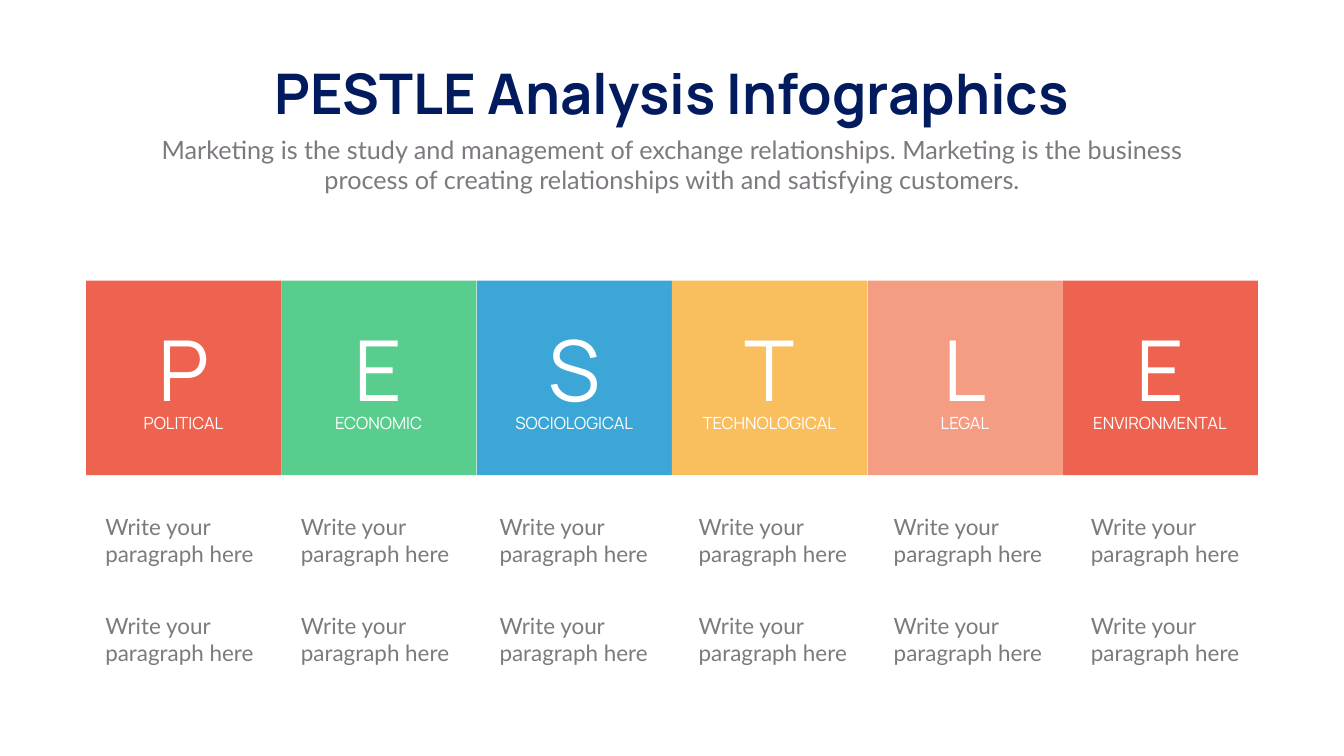
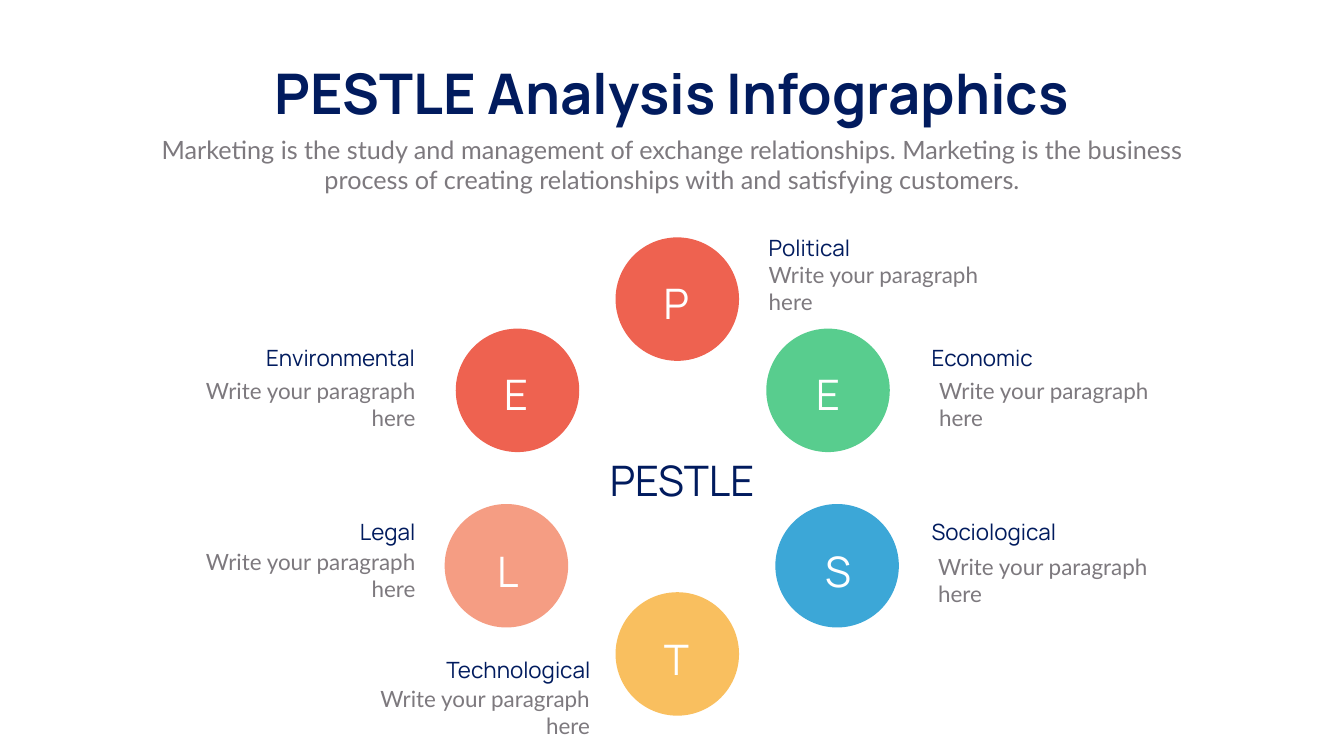
"""Build two PESTLE analysis infographic slides."""

from dataclasses import dataclass

from pptx import Presentation
from pptx.dml.color import RGBColor
from pptx.enum.shapes import MSO_SHAPE
from pptx.enum.text import MSO_ANCHOR, MSO_AUTO_SIZE, PP_ALIGN
from pptx.presentation import Presentation as Deck
from pptx.shapes.base import BaseShape
from pptx.slide import Slide
from pptx.util import Emu, Pt

RECTANGLE, OVAL = MSO_SHAPE.RECTANGLE, MSO_SHAPE.OVAL
LEFT, CENTER, RIGHT = PP_ALIGN.LEFT, PP_ALIGN.CENTER, PP_ALIGN.RIGHT
TOP, GROW = MSO_ANCHOR.TOP, MSO_AUTO_SIZE.SHAPE_TO_FIT_TEXT
TITLE_ONLY = 5
EMU_PER_PX = 9144
SLIDE_WIDTH, SLIDE_HEIGHT = 2666, 1500

TITLE = "PESTLE Analysis Infographics"
SUBTITLE = (
    "Marketing is the study and management of exchange relationships. "
    "Marketing is the business process of creating relationships with "
    "and satisfying customers."
)
PROMPT = "Write your paragraph here"

BAND_LEFT, BAND_TOP, BAND_PITCH, BAND_SIDE = 171, 557, 387.4, 387
PROMPT_TOPS = (1013, 1210)
CIRCLE_SIZE = 245


@dataclass(frozen=True)
class TextStyle:
    """Font, size, colour and weight of a kind of text."""

    font: str
    size: int
    color: str
    bold: bool = False


@dataclass(frozen=True)
class Theme:
    """Colours and type styles shared by both slides."""

    red: str = "EE6250"
    green: str = "58CD8E"
    blue: str = "3CA7D7"
    amber: str = "F9BF5F"
    salmon: str = "F59D83"
    title: TextStyle = TextStyle("Manrope", 80, "011B5E", True)
    subtitle: TextStyle = TextStyle("Lato", 36, "7D797E")
    body: TextStyle = TextStyle("Lato", 32, "7D797E")
    heading: TextStyle = TextStyle("Manrope", 32, "011B5E")
    hub: TextStyle = TextStyle("Manrope", 60, "011B5E")
    circle_letter: TextStyle = TextStyle("Manrope", 60, "FFFFFF")
    band_letter: TextStyle = TextStyle("Manrope", 120, "FFFFFF")
    band_name: TextStyle = TextStyle("Manrope", 24, "FFFFFF")


@dataclass(frozen=True)
class Box:
    """A rectangle in px, a hundred to the inch."""

    left: int
    top: int
    width: int
    height: int

    def emu(self) -> tuple[Emu, ...]:
        """Return left, top, width and height in EMU."""
        sides = (self.left, self.top, self.width, self.height)
        return tuple(Emu(side * EMU_PER_PX) for side in sides)


@dataclass(frozen=True)
class Factor:
    """One PESTLE factor with its places on both slides."""

    name: str
    color: str
    prompt_left: int
    circle: tuple[int, int]
    letter: Box
    heading: Box
    note: tuple[int, int]
    align: PP_ALIGN


THEME = Theme()
FACTORS = (
    Factor("Political", THEME.red, 199, (1221, 471), Box(1271, 545, 141, 111),
           Box(1515, 460, 363, 64), (1515, 514), LEFT),
    Factor("Economic", THEME.green, 587, (1520, 652), Box(1572, 727, 141, 111),
           Box(1838, 678, 363, 64), (1853, 743), LEFT),
    Factor("Sociological", THEME.blue, 981, (1538, 1000), Box(1573, 1077, 179, 111),
           Box(1838, 1024, 363, 64), (1851, 1093), LEFT),
    Factor("Technological", THEME.amber, 1376, (1221, 1175), Box(1252, 1252, 179, 111),
           Box(818, 1296, 363, 64), (652, 1355), RIGHT),
    Factor("Legal", THEME.salmon, 1763, (882, 1000), Box(918, 1077, 179, 111),
           Box(527, 1024, 307, 64), (306, 1083), RIGHT),
    Factor("Environmental", THEME.red, 2154, (904, 652), Box(934, 727, 179, 111),
           Box(468, 678, 365, 64), (306, 743), RIGHT),
)


def set_text(holder: BaseShape, text: str, style: TextStyle, align: PP_ALIGN,
             wrap: bool = True) -> None:
    """Write one styled paragraph into a shape that grows with its text."""
    frame = holder.text_frame
    frame.text = text
    frame.word_wrap = wrap
    frame.auto_size = GROW
    frame.vertical_anchor = TOP
    paragraph = frame.paragraphs[0]
    paragraph.alignment = align
    font = paragraph.runs[0].font
    font.name = style.font
    font.size = Pt(style.size)
    font.bold = style.bold
    font.color.rgb = RGBColor.from_string(style.color)


def add_text(slide: Slide, box: Box, text: str, style: TextStyle,
             align: PP_ALIGN = CENTER) -> None:
    """Add a wrapping text box."""
    set_text(slide.shapes.add_textbox(*box.emu()), text, style, align)


def add_tile(slide: Slide, preset: MSO_SHAPE, box: Box, color: str) -> None:
    """Add a flat coloured shape without outline."""
    tile = slide.shapes.add_shape(preset, *box.emu())
    tile.shadow.inherit = False
    tile.fill.solid()
    tile.fill.fore_color.rgb = RGBColor.from_string(color)
    tile.line.fill.background()


def add_titled_slide(deck: Deck) -> Slide:
    """Add a slide with the shared title and subtitle."""
    slide = deck.slides.add_slide(deck.slide_layouts[TITLE_ONLY])
    title = slide.shapes.title
    title.left, title.top, title.width, title.height = Box(496, 112, 1674, 145).emu()
    set_text(title, TITLE, THEME.title, CENTER, wrap=False)
    add_text(slide, Box(292, 261, 2082, 131), SUBTITLE, THEME.subtitle)
    return slide


def add_band_slide(deck: Deck) -> None:
    """Build the row of six squares with prompts below."""
    slide = add_titled_slide(deck)
    for index, factor in enumerate(FACTORS):
        left = round(BAND_LEFT + index * BAND_PITCH)
        add_tile(slide, RECTANGLE, Box(left, BAND_TOP, BAND_SIDE, BAND_SIDE - 1),
                 factor.color)
        add_text(slide, Box(left + 122, 626, 142, 185), factor.name[0], THEME.band_letter)
        add_text(slide, Box(left + 28, 813, 330, 50), factor.name.upper(), THEME.band_name)
        for top in PROMPT_TOPS:
            add_text(slide, Box(factor.prompt_left, top, 321, 118), PROMPT,
                     THEME.body, LEFT)


def add_ring_slide(deck: Deck) -> None:
    """Build the ring of six circles around the hub word."""
    slide = add_titled_slide(deck)
    add_text(slide, Box(1164, 897, 378, 111), "PESTLE", THEME.hub)
    for factor in FACTORS:
        add_tile(slide, OVAL, Box(*factor.circle, CIRCLE_SIZE, CIRCLE_SIZE), factor.color)
        add_text(slide, factor.letter, factor.name[0], THEME.circle_letter)
        add_text(slide, factor.heading, factor.name, THEME.heading, factor.align)
        add_text(slide, Box(*factor.note, 528, 64), PROMPT, THEME.body, factor.align)


def main() -> None:
    """Create and save the presentation."""
    deck = Presentation()
    deck.slide_width = Emu(SLIDE_WIDTH * EMU_PER_PX)
    deck.slide_height = Emu(SLIDE_HEIGHT * EMU_PER_PX)
    add_band_slide(deck)
    add_ring_slide(deck)
    deck.save("out.pptx")


if __name__ == "__main__":
    main()
